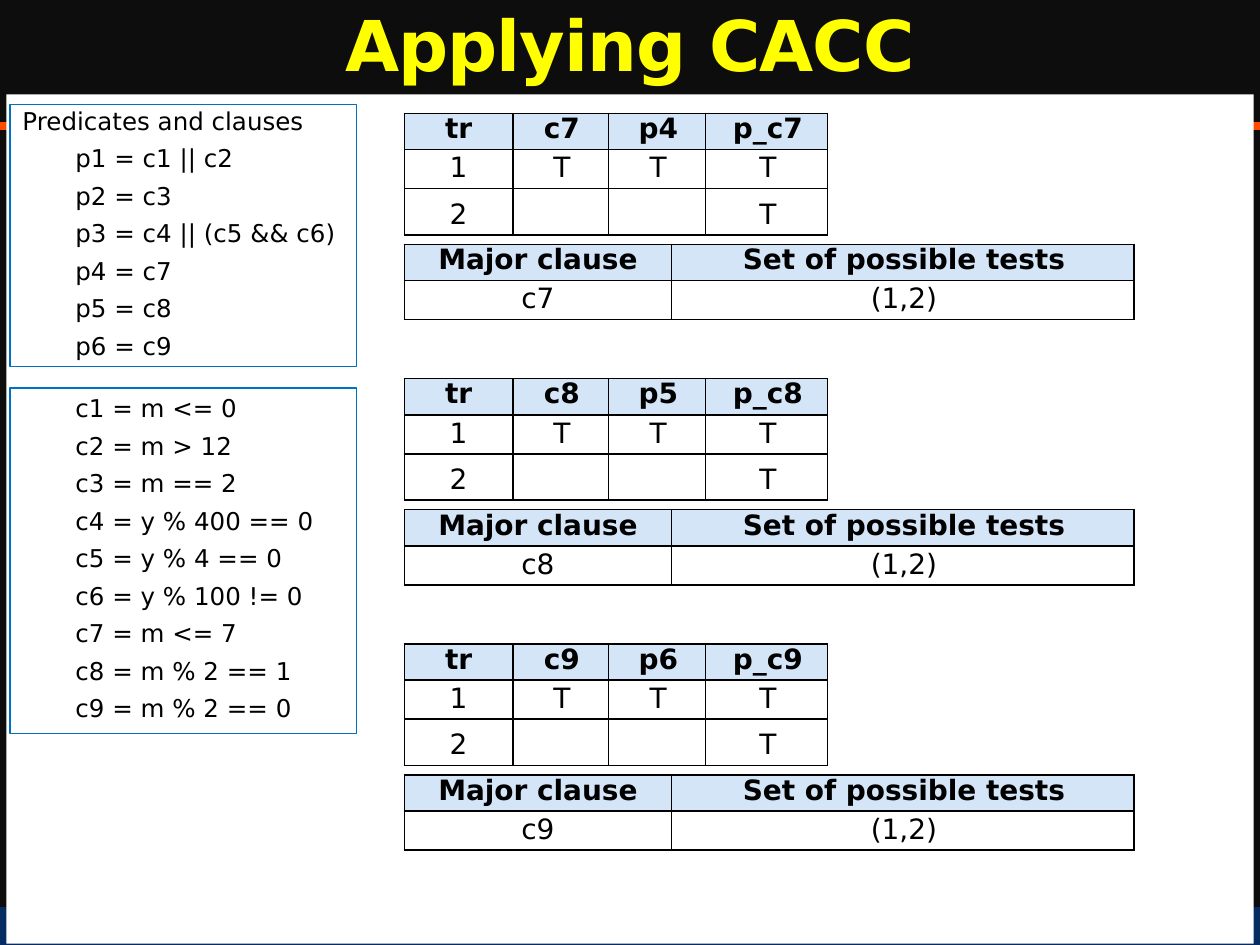
"""Build the slide that applies CACC to predicates p4, p5 and p6."""
import lxml.etree
import pptx
import pptx.dml.color
import pptx.enum.shapes
import pptx.enum.text
import pptx.oxml
import pptx.oxml.ns
import pptx.util

Inches, Pt = pptx.util.Inches, pptx.util.Pt
RGBColor = pptx.dml.color.RGBColor
PP_ALIGN, MSO_ANCHOR = pptx.enum.text.PP_ALIGN, pptx.enum.text.MSO_ANCHOR
RECT = pptx.enum.shapes.MSO_SHAPE.RECTANGLE
qn = pptx.oxml.ns.qn

FONT = "DejaVu Sans"
BACKGROUND = RGBColor(0x0D, 0x0D, 0x0D)
NAVY = RGBColor(0x07, 0x2C, 0x62)
ORANGE = RGBColor(0xFF, 0x4C, 0x00)
WHITE = RGBColor(0xFF, 0xFF, 0xFF)
YELLOW = RGBColor(0xFF, 0xFF, 0x00)
BLACK = RGBColor(0, 0, 0)
BLUE = RGBColor(0x00, 0x70, 0xC0)
HEADER = RGBColor(0xD4, 0xE5, 0xF7)


def add_run(p, text, size, color=BLACK, bold=False):
    r = p.add_run()
    r.text = text
    r.font.name, r.font.size, r.font.bold = FONT, Pt(size), bold
    r.font.color.rgb = color
    return r


def add_grid(s, top, widths, heights, rows):
    frame = s.shapes.add_table(len(rows), len(widths), Inches(3.21), Inches(top),
                               Inches(sum(widths)), Inches(sum(heights)))
    table = frame.table
    table.horz_banding = False
    for col, width in zip(table.columns, widths):
        col.width = Inches(width)
    for i, (height, row) in enumerate(zip(heights, rows)):
        table.rows[i].height = Inches(height)
        for j, text in enumerate(row):
            cell = table.cell(i, j)
            cell.vertical_anchor = MSO_ANCHOR.BOTTOM
            tcPr = cell._tc.get_or_add_tcPr()
            for side in ("a:lnL", "a:lnR", "a:lnT", "a:lnB"):
                ln = lxml.etree.SubElement(tcPr, qn(side), w=str(Pt(1)))
                fill = lxml.etree.SubElement(ln, qn("a:solidFill"))
                lxml.etree.SubElement(fill, qn("a:srgbClr"), val=str(BLACK))
            if i == 0:
                cell.fill.solid()
                cell.fill.fore_color.rgb = HEADER
            else:
                cell.fill.background()
            p = cell.text_frame.paragraphs[0]
            if text:
                p.alignment = PP_ALIGN.CENTER
                p.line_spacing = 0.7
                if j > 0:
                    p._p.get_or_add_pPr().set("marL", str(Inches(0.02)))
                add_run(p, text, 16, bold=i == 0)
            else:
                end = lxml.etree.SubElement(p._p, qn("a:endParaRPr"), sz="1600")
                lxml.etree.SubElement(end, qn("a:latin"), typeface=FONT)


prs = pptx.Presentation()
prs.slide_width, prs.slide_height = Inches(10), Inches(7.5)
s = prs.slides.add_slide(prs.slide_layouts[6])
s.background.fill.solid()
s.background.fill.fore_color.rgb = BACKGROUND

footer = s.shapes.add_shape(RECT, Inches(0), Inches(7.2), Inches(10), Inches(0.3))
rule = s.shapes.add_connector(pptx.enum.shapes.MSO_CONNECTOR.STRAIGHT,
                              Inches(0), Inches(1), Inches(10), Inches(1))
rule.line.color.rgb = ORANGE
rule.line.width = Pt(4.5)
lxml.etree.SubElement(rule._element.spPr, qn("a:effectLst"))
panel = s.shapes.add_shape(RECT, Inches(0.05), Inches(0.75), Inches(9.9), Inches(6.74))
for sp, color in ((footer, NAVY), (panel, WHITE)):
    sp.shadow.inherit = False
    sp.fill.solid()
    sp.fill.fore_color.rgb = color
    sp.line.fill.background()

title = s.shapes.add_textbox(Inches(0), Inches(0), Inches(10), Inches(0.77))
tf = title.text_frame
tf.word_wrap = True
tf.vertical_anchor = MSO_ANCHOR.MIDDLE
p = tf.paragraphs[0]
p.alignment = PP_ALIGN.CENTER
p.line_spacing = 0.9
r = add_run(p, "Applying CACC", 40, YELLOW, True)
r.font._element.set("spc", "-50")

predicates = ["Predicates and clauses", "p1 = c1 || c2", "p2 = c3",
              "p3 = c4 || (c5 && c6)", "p4 = c7", "p5 = c8", "p6 = c9"]
clauses = ["c1 = m <= 0", "c2 = m > 12", "c3 = m == 2", "c4 = y % 400 == 0",
           "c5 = y % 4 == 0", "c6 = y % 100 != 0", "c7 = m <= 7",
           "c8 = m % 2 == 1", "c9 = m % 2 == 0"]
for top, height, lines in ((0.83, 2.08, predicates), (3.08, 2.74, clauses)):
    sp = s.shapes.add_shape(RECT, Inches(0.08), Inches(top), Inches(2.75), Inches(height))
    sp.shadow.inherit = False
    sp.fill.solid()
    sp.fill.fore_color.rgb = WHITE
    sp.line.color.rgb = BLUE
    sp.line.width = Pt(0.75)
    tf = sp.text_frame
    tf.word_wrap = True
    tf.vertical_anchor = MSO_ANCHOR.MIDDLE
    for i, line in enumerate(lines):
        p = tf.add_paragraph() if i else tf.paragraphs[0]
        heading = line == predicates[0]
        p.level = 1 if heading else 2
        pPr = p._p.get_or_add_pPr()
        pPr.set("marL", str(Inches(0 if heading else 0.42)))
        pPr.set("indent", "0")
        p.alignment = PP_ALIGN.LEFT
        p.line_spacing = 0.8
        p.space_before = Pt(5 if i else 0)
        p.space_after = Pt(3)
        add_run(p, line, 14)

for i, (clause, predicate) in enumerate((("c7", "p4"), ("c8", "p5"), ("c9", "p6"))):
    top = 0.9 + 2.105 * i
    add_grid(s, top, (0.86, 0.76, 0.77, 0.97), (0.28, 0.31, 0.36),
             (("tr", clause, predicate, f"p_{clause}"),
              ("1", "T", "T", "T"), ("2", "", "", "T")))
    add_grid(s, top + 1.04, (2.12, 3.67), (0.28, 0.31),
             (("Major clause", "Set of possible tests"), (clause, "(1,2)")))

prs.save("out.pptx")
